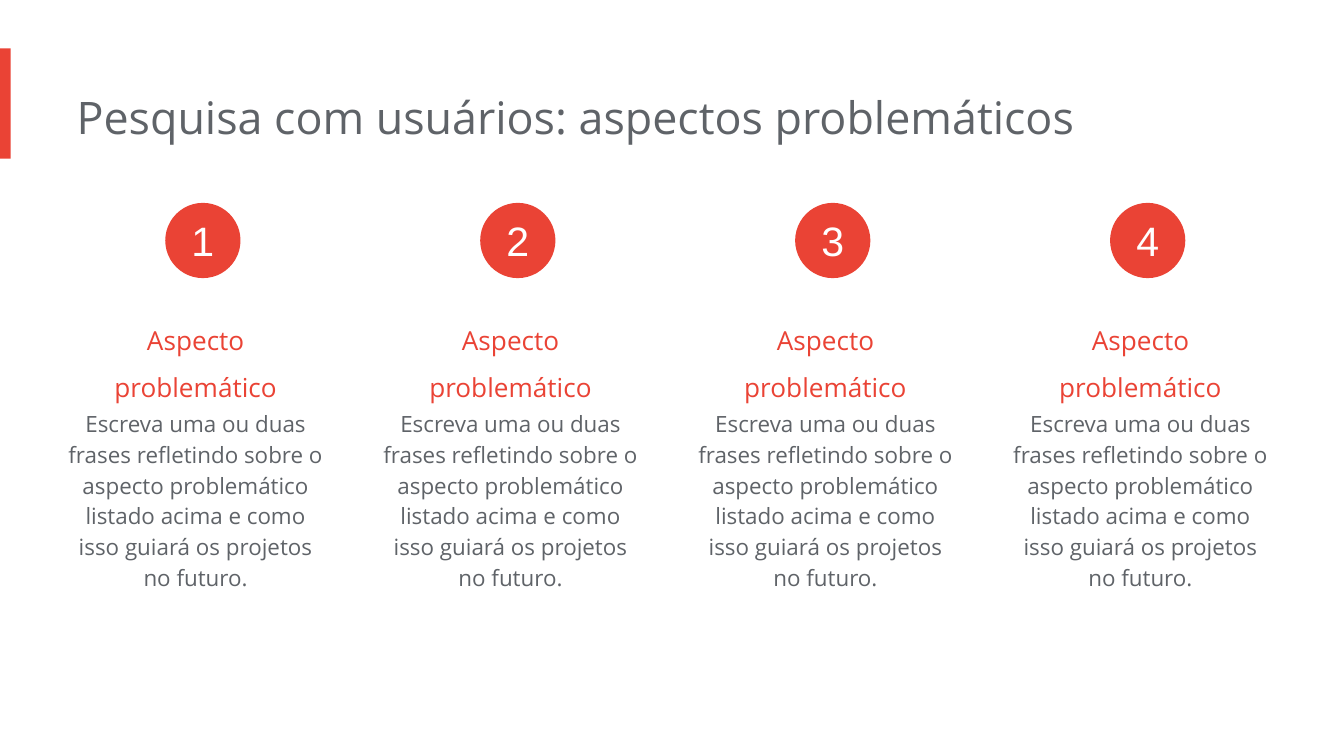
from dataclasses import dataclass

from pptx import Presentation
from pptx import util as u
from pptx.dml.color import RGBColor
from pptx.enum import shapes, text


@dataclass(frozen=True)
class Theme:
    """Colours, fonts and type sizes of the slide."""
    red: RGBColor = RGBColor(0xEA, 0x43, 0x35)
    grey: RGBColor = RGBColor(0x5F, 0x63, 0x68)
    white: RGBColor = RGBColor(0xFF, 0xFF, 0xFF)
    text_font: str = "Open Sans"
    number_font: str = "Arial"
    title_size: int = 24
    number_size: int = 22
    heading_size: int = 14
    body_size: int = 12


THEME = Theme()
TITLE = "Pesquisa com usuários: aspectos problemáticos"
HEADING = "Aspecto problemático"
BODY = ("Escreva uma ou duas frases refletindo sobre o aspecto problemático "
        "listado acima e como isso guiará os projetos no futuro.")
SLIDE_WIDTH = 10
SLIDE_HEIGHT = SLIDE_WIDTH * 9 / 16
COLUMN_COUNT = 4
FIRST_LEFT, LAST_LEFT = 0.48, 7.51
COLUMN_STEP = (LAST_LEFT - FIRST_LEFT) / (COLUMN_COUNT - 1)
COLUMN_TOP, COLUMN_WIDTH = 1.51, 2.05


def write(shape, content, size, color, font=THEME.text_font, spacing=1.0,
          align=text.PP_ALIGN.CENTER, anchor=text.MSO_ANCHOR.TOP,
          insets=(0, 0.1, 0.1, 0.1), fit=text.MSO_AUTO_SIZE.SHAPE_TO_FIT_TEXT):
    """Fill a shape with one formatted paragraph."""
    frame = shape.text_frame
    frame.text = content
    frame.word_wrap = True
    frame.auto_size = fit
    frame.vertical_anchor = anchor
    (frame.margin_left, frame.margin_top,
     frame.margin_right, frame.margin_bottom) = map(u.Inches, insets)
    paragraph = frame.paragraphs[0]
    paragraph.alignment = align
    paragraph.line_spacing = spacing
    paragraph.font.name = font
    paragraph.font.size = u.Pt(size)
    paragraph.font.color.rgb = color


def add_solid(slide, kind, *box):
    """Add a plain red shape without outline or shadow."""
    shape = slide.shapes.add_shape(kind, *map(u.Inches, box))
    shape.shadow.inherit = False
    shape.fill.solid()
    shape.fill.fore_color.rgb = THEME.red
    shape.line.fill.background()
    return shape


def add_header(slide, left, top):
    """Draw the accent bar and set the title beside it."""
    add_solid(slide, shapes.MSO_SHAPE.RECTANGLE, left, top, 0.08, 0.82)
    title = slide.shapes.title
    title.left, title.top = u.Inches(left + 0.57), u.Inches(top + 0.21)
    title.width, title.height = u.Inches(7.68), u.Inches(0.6)
    write(title, TITLE, THEME.title_size, THEME.grey,
          align=text.PP_ALIGN.LEFT)


def add_problem_column(slide, number, left, top, width):
    """Stack a numbered circle, a heading and a description."""
    heading = slide.shapes.add_textbox(
        *map(u.Inches, (left, top + 0.69, width, 0.9)))
    write(heading, HEADING, THEME.heading_size, THEME.red, spacing=1.5)

    body = slide.shapes.add_textbox(
        *map(u.Inches, (left, top + 1.41, width, 1.58)))
    write(body, BODY, THEME.body_size, THEME.grey, spacing=1.15)

    circle = add_solid(slide, shapes.MSO_SHAPE.OVAL,
                       left + 0.75, top, 0.56, 0.56)
    write(circle, str(number), THEME.number_size, THEME.white,
          font=THEME.number_font, anchor=text.MSO_ANCHOR.MIDDLE,
          insets=(0, 0, 0, 0), fit=text.MSO_AUTO_SIZE.NONE)


def main():
    """Build and save the presentation."""
    presentation = Presentation()
    presentation.slide_width = u.Inches(SLIDE_WIDTH)
    presentation.slide_height = u.Inches(SLIDE_HEIGHT)
    slide = presentation.slides.add_slide(presentation.slide_layouts[5])
    slide.background.fill.solid()
    slide.background.fill.fore_color.rgb = THEME.white
    add_header(slide, 0, 0.36)
    for index in range(COLUMN_COUNT):
        add_problem_column(slide, index + 1,
                           FIRST_LEFT + index * COLUMN_STEP,
                           COLUMN_TOP, COLUMN_WIDTH)
    presentation.save("out.pptx")


main()
